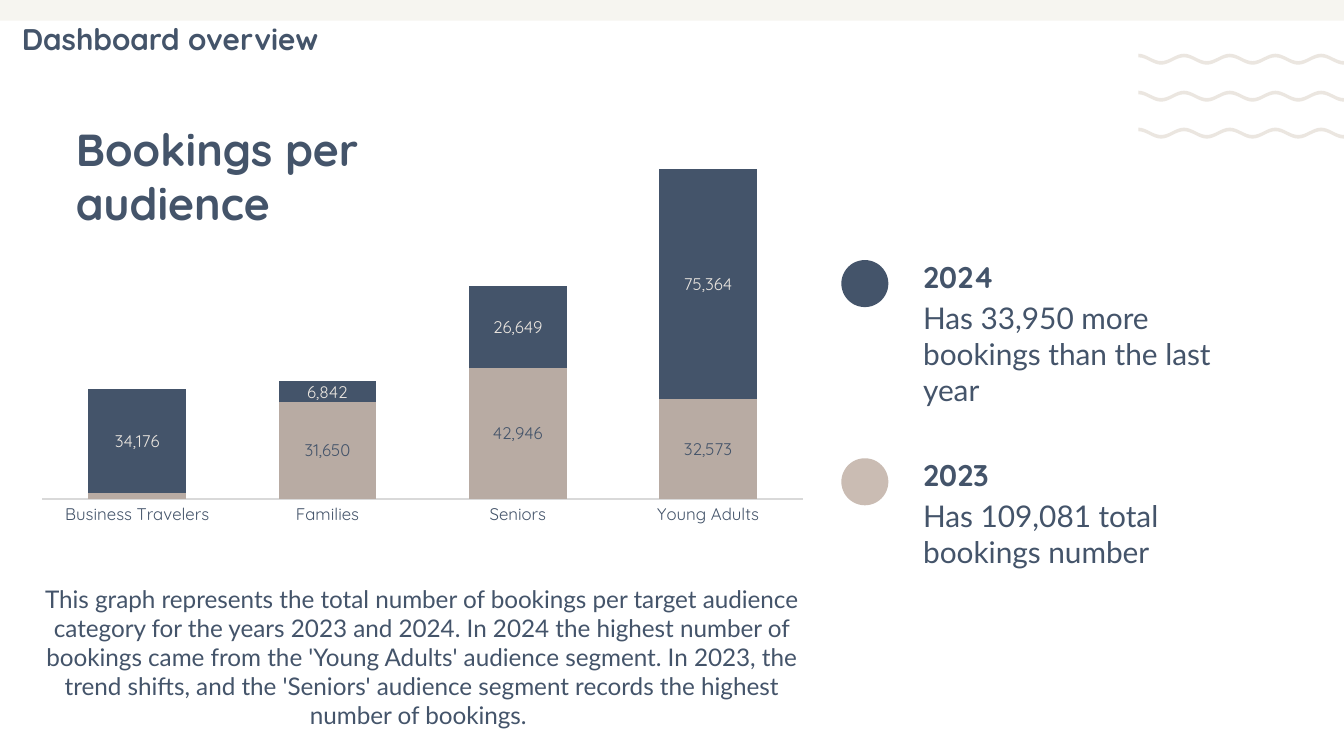
from dataclasses import dataclass

from lxml import etree
from pptx import Presentation
from pptx.chart.data import CategoryChartData
from pptx.dml.color import RGBColor
from pptx.enum.chart import XL_CHART_TYPE, XL_TICK_LABEL_POSITION, XL_TICK_MARK
from pptx.enum.shapes import MSO_SHAPE
from pptx.enum.text import MSO_ANCHOR, MSO_AUTO_SIZE, PP_ALIGN
from pptx.oxml.ns import qn
from pptx.util import Inches, Pt

STACKED = XL_CHART_TYPE.COLUMN_STACKED
NEXT_TO = XL_TICK_LABEL_POSITION.NEXT_TO_AXIS
NO_TICK = XL_TICK_MARK.NONE
RECT, OVAL = MSO_SHAPE.RECTANGLE, MSO_SHAPE.OVAL
TOP, NO_FIT = MSO_ANCHOR.TOP, MSO_AUTO_SIZE.NONE
LEFT, CENTER = PP_ALIGN.LEFT, PP_ALIGN.CENTER

COLS, ROWS = 100, 56.25  # grid cells of a tenth of an inch


@dataclass(frozen=True)
class Theme:
    navy: str = "44546A"
    taupe: str = "B8ABA3"
    sand: str = "CABCB3"
    wave: str = "EBE6E0"
    band: str = "F6F5F0"
    axis: str = "D9D9D9"
    head: str = "Quicksand"
    body: str = "Lato"
    title: float = 24
    large: float = 16
    text: float = 13
    chart: float = 10
    label: float = 9


def rgb(value):
    return RGBColor.from_string(value)


def format_font(font, *, name, size, color, bold=False):
    font.name, font.size, font.bold = name, Pt(size), bold
    font.color.rgb = rgb(color)


def fill_text(tf, text, *, align=LEFT, **font):
    tf.word_wrap, tf.auto_size, tf.vertical_anchor = True, NO_FIT, TOP
    tf.margin_left = tf.margin_right = Inches(0.1)
    tf.margin_top = tf.margin_bottom = Inches(0.1)
    p = tf.paragraphs[0]
    p.alignment, p.line_spacing = align, 1.0
    r = p.add_run()
    r.text = text
    format_font(r.font, **font)


def curve_edges(sp):
    """Turn each sloping side of a freeform into an S-shaped curve."""
    x0 = y0 = 0
    for step in sp._element.iter(qn("a:moveTo"), qn("a:lnTo")):
        end = step.find(qn("a:pt"))
        x, y = int(end.get("x")), int(end.get("y"))
        if step.tag == qn("a:lnTo") and x != x0:
            pull = round((x - x0) * 0.36)
            step.tag = qn("a:cubicBezTo")
            for i, (px, py) in enumerate([(x0 + pull, y0), (x - pull, y)]):
                pt = etree.Element(qn("a:pt"), x=str(px), y=str(py))
                step.insert(i, pt)
        x0, y0 = x, y


class SlideBuilder:
    def __init__(self, prs, theme):
        self.theme = theme
        self.col, self.row = prs.slide_width / COLS, prs.slide_height / ROWS
        self.s = prs.slides.add_slide(prs.slide_layouts[5])

    def box(self, x, y, w, h):
        return (round(x * self.col), round(y * self.row),
                round(w * self.col), round(h * self.row))

    def title(self, text, *box):
        sp = self.s.shapes.title
        sp.left, sp.top, sp.width, sp.height = self.box(*box)
        fill_text(sp.text_frame, text, name=self.theme.head,
                  size=self.theme.title, color=self.theme.navy, bold=True)

    def text(self, text, *box, **style):
        sp = self.s.shapes.add_textbox(*self.box(*box))
        fill_text(sp.text_frame, text, color=self.theme.navy, **style)

    def heading(self, text, *box):
        self.text(text, *box, name=self.theme.head, size=self.theme.large, bold=True)

    def paint(self, sp, color):
        sp.shadow.inherit = False
        sp.fill.solid()
        sp.fill.fore_color.rgb = rgb(color)
        sp.line.fill.background()

    def shape(self, kind, color, *box):
        self.paint(self.s.shapes.add_shape(kind, *self.box(*box)), color)

    def waves(self, x, y, *, count, pitch, half, halves, depth, thickness):
        group = self.s.shapes.add_group_shape()
        for i in range(count):
            edge = [(x + n * half, y + i * pitch + n % 2 * depth)
                    for n in range(halves + 1)]
            outline = edge + [(px, py + thickness) for px, py in reversed(edge)]
            points = [(round(px * self.col), round(py * self.row)) for px, py in outline]
            builder = group.shapes.build_freeform(*points[0])
            builder.add_line_segments(points[1:])
            sp = builder.convert_to_shape()
            curve_edges(sp)
            self.paint(sp, self.theme.wave)

    def stacked_columns(self, cats, series, *box, top, plot_area):
        t = self.theme
        data = CategoryChartData(number_format="#,##0")
        data.categories = cats
        for name, values, _, _ in series:
            data.add_series(name, values)
        chart = self.s.shapes.add_chart(STACKED, *self.box(*box), data).chart
        chart.has_legend = chart.has_title = False
        format_font(chart.font, name=t.head, size=t.chart, color=t.navy)

        # Axes
        cat, val = chart.category_axis, chart.value_axis
        cat.major_tick_mark = cat.minor_tick_mark = NO_TICK
        cat.tick_label_position = NEXT_TO
        cat.format.line.color.rgb = rgb(t.axis)
        cat.format.line.width = Pt(0.75)
        format_font(cat.tick_labels.font, name=t.head, size=t.label, color=t.navy)
        cat.tick_labels.offset = 0
        val.minimum_scale, val.maximum_scale = 0, top
        val.has_major_gridlines = val.visible = False

        # Columns and value labels
        plot = chart.plots[0]
        plot.gap_width, plot.overlap, plot.vary_by_categories = 95, 100, False
        for ser, (_, _, color, label_color) in zip(plot.series, series):
            ser.format.fill.solid()
            ser.format.fill.fore_color.rgb = rgb(color)
            labels = ser.data_labels
            labels.show_value = True
            labels.number_format, labels.number_format_is_linked = "#,##0", False
            format_font(labels.font, name=t.head, size=t.label, color=label_color)
        self.hide_label(plot.series[0], 0)
        self.place_plot(chart, plot_area)

    def hide_label(self, ser, index):
        label = etree.Element(qn("c:dLbl"))
        etree.SubElement(label, qn("c:idx")).set("val", str(index))
        etree.SubElement(label, qn("c:delete")).set("val", "1")
        ser.data_labels._element.insert(0, label)

    def place_plot(self, chart, shares):
        area = chart._chartSpace.chart.plotArea
        for old in area.findall(qn("c:layout")):
            area.remove(old)
        layout = etree.Element(qn("c:layout"))
        manual = etree.SubElement(layout, qn("c:manualLayout"))
        settings = [("layoutTarget", "inner"), ("xMode", "edge"), ("yMode", "edge")]
        for tag, value in settings + list(zip("xywh", shares)):
            etree.SubElement(manual, qn("c:" + tag)).set("val", str(value))
        area.insert(0, layout)


def main():
    prs = Presentation()
    prs.slide_width, prs.slide_height = Inches(10), Inches(5.625)
    t = Theme()
    b = SlideBuilder(prs, t)

    # Top band, title and waves
    b.shape(RECT, t.band, 0, 0, COLS, 1.53)
    b.title("Bookings per audience", 4.65, 8.05, 33.3, 9.9)
    b.waves(84.7, 4, count=3, pitch=2.75, half=1.7, halves=9, depth=0.55, thickness=0.27)

    # Bookings chart
    b.stacked_columns(
        ["Business Travelers", "Families", "Seniors", "Young Adults"],
        [("2023", (1911, 31650, 42946, 32573), t.taupe, t.navy),
         ("2024", (34176, 6842, 26649, 75364), t.navy, t.wave)],
        1.95, 9.25, 59, 30.3, top=120000, plot_area=(0.02, 0.02, 0.96, 0.9))

    # Key with one entry for each year
    key = [("2024", "Has 33,950 more bookings than the last year", t.navy),
           ("2023", "Has 109,081 total bookings number", t.sand)]
    for i, (year, note, color) in enumerate(key):
        y = 18.25 + 14.75 * i
        b.shape(OVAL, color, 62.6, y + 1.1, 3.5, 3.5)
        b.heading(year, 67.7, y, 16.3, 4.6)
        b.text(note, 67.7, y + 3.05, 24.5, 7.2, name=t.body, size=t.large)

    # Summary and page heading
    b.text("This graph represents the total number of bookings per target audience "
           "category for the years 2023 and 2024. In 2024 the highest number of "
           "bookings came from the 'Young Adults' audience segment. In 2023, the "
           "trend shifts, and the 'Seniors' audience segment records the highest "
           "number of bookings. ",
           0.65, 42.45, 61.4, 14.1, name=t.body, size=t.text, align=CENTER)
    b.heading("Dashboard overview", 0.65, 0.55, 99.3, 5.4)

    prs.save("out.pptx")


if __name__ == "__main__":
    main()
